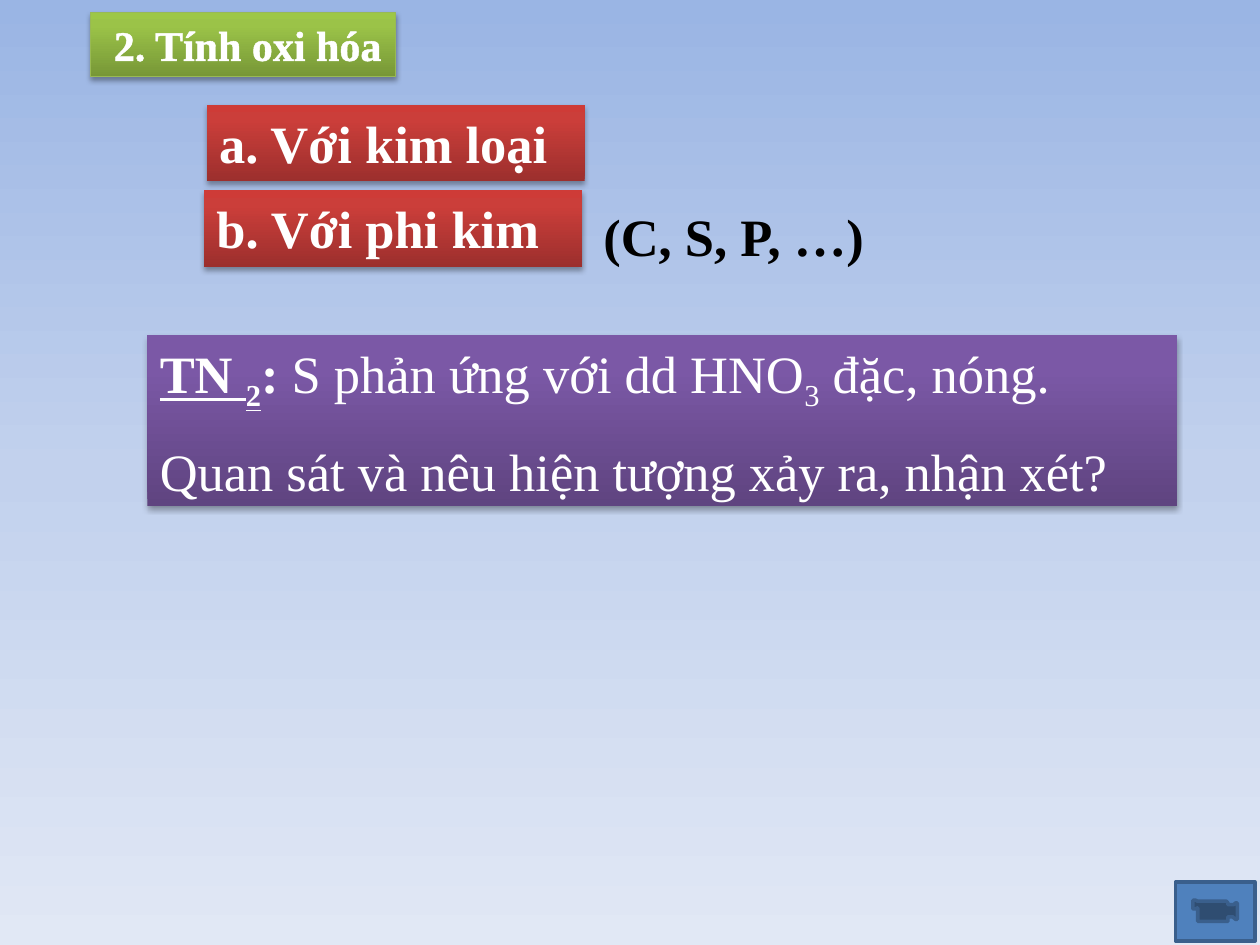
import copy
from dataclasses import dataclass
from typing import Optional

import pptx
import pptx.dml.color
import pptx.enum.shapes
import pptx.enum.text
import pptx.oxml
import pptx.oxml.ns
import pptx.util
from pptx.util import Inches

RGBColor = pptx.dml.color.RGBColor
Align = pptx.enum.text.PP_ALIGN
AutoSize = pptx.enum.text.MSO_AUTO_SIZE
Shapes = pptx.enum.shapes.MSO_SHAPE
qn = pptx.oxml.ns.qn

WHITE = RGBColor(0xFF, 0xFF, 0xFF)
BLACK = RGBColor(0x00, 0x00, 0x00)
GREEN_LINE = RGBColor(0x98, 0xB9, 0x55)
BUTTON_FILL = RGBColor(0x4F, 0x81, 0xBD)
BUTTON_LINE = RGBColor(0x3A, 0x5F, 0x8C)
SKY = (RGBColor(0x9A, 0xB5, 0xE4), RGBColor(0xC2, 0xD1, 0xED), RGBColor(0xE1, 0xE8, 0xF5))
GREEN = (RGBColor(0x77, 0x97, 0x37), RGBColor(0x9B, 0xC3, 0x48), RGBColor(0x9D, 0xC7, 0x46))
RED = (RGBColor(0x9C, 0x2F, 0x2D), RGBColor(0xCB, 0x3E, 0x3A), RGBColor(0xCE, 0x3B, 0x37))
PURPLE = (RGBColor(0x5F, 0x44, 0x80), RGBColor(0x7B, 0x58, 0xA6), RGBColor(0x7C, 0x57, 0xA8))

FONT = "Times New Roman"
DRAWING = "http://schemas.openxmlformats.org/drawingml/2006/main"


@dataclass(frozen=True)
class Run:
    text: str
    bold: bool = False
    underline: bool = False
    subscript: bool = False
    outlined: bool = False


@dataclass(frozen=True)
class Box:
    left: float
    top: float
    width: float
    height: float
    paragraphs: tuple[tuple[Run, ...], ...]
    gradient: Optional[tuple[RGBColor, ...]] = None
    color: RGBColor = WHITE
    size: int = 30
    align: Align = Align.JUSTIFY
    space_before: int = 50
    auto_size: AutoSize = AutoSize.SHAPE_TO_FIT_TEXT


HEADING = Box(0.72, 0.1, 2.42, 0.51,
              ((Run(" ", bold=True), Run("2. Tính oxi hóa", bold=True, outlined=True)),),
              GREEN, size=24, align=Align.LEFT, space_before=0, auto_size=AutoSize.NONE)

BOXES = (
    Box(1.64, 0.83, 3, 0.61, ((Run("a. Với kim loại", bold=True),),), RED),
    Box(1.62, 1.51, 3, 0.61, ((Run("b. Với phi kim", bold=True),),), RED),
    Box(4.69, 1.57, 3.25, 0.61, ((Run("(C, S, P, …)", bold=True),),), color=BLACK),
    Box(1.17, 2.66, 8.17, 1.36, (
        (
            Run("TN ", bold=True, underline=True),
            Run("2", bold=True, underline=True, subscript=True),
            Run(": ", bold=True),
            Run("S phản ứng với dd HNO"),
            Run("3", subscript=True),
            Run(" đặc, nóng."),
        ),
        (Run("Quan sát và nêu hiện tượng xảy ra, nhận xét?"),),
    ), PURPLE),
)


def set_gradient(fill, element, colors: tuple[RGBColor, ...], middle: float, angle: int) -> None:
    fill.gradient()
    fill.gradient_angle = angle
    stop_list = element.find(".//" + qn("a:gsLst"))
    stop_list.append(copy.deepcopy(stop_list[-1]))
    for stop, color, position in zip(fill.gradient_stops, colors, (0, middle, 1)):
        stop.color.rgb = color
        stop.position = position


def add_shadow(shape) -> None:
    shape.shadow.inherit = False
    effects = shape.element.spPr.find(qn("a:effectLst"))
    effects.append(pptx.oxml.parse_xml(
        f'<a:outerShdw xmlns:a="{DRAWING}" blurRad="{pptx.util.Pt(3.1)}" '
        f'dist="{pptx.util.Pt(1.8)}" dir="5400000" rotWithShape="0">'
        '<a:srgbClr val="000000"><a:alpha val="35000"/></a:srgbClr></a:outerShdw>'))


def add_run(paragraph, content: Run, box: Box) -> None:
    run = paragraph.add_run()
    run.text = content.text
    run.font.name = FONT
    run.font.size = pptx.util.Pt(box.size)
    run.font.bold = content.bold
    run.font.underline = content.underline
    run.font.color.rgb = box.color
    properties = run.font._element
    if content.subscript:
        properties.set("baseline", "-25000")
    if content.outlined:
        properties.insert(0, pptx.oxml.parse_xml(
            f'<a:ln xmlns:a="{DRAWING}" w="{pptx.util.Pt(1.45)}"><a:solidFill>'
            f'<a:srgbClr val="{box.color}"/></a:solidFill></a:ln>'))


def write_text(shape, box: Box) -> None:
    frame = shape.text_frame
    frame.word_wrap = True
    frame.vertical_anchor = pptx.enum.text.MSO_ANCHOR.TOP
    frame.auto_size = box.auto_size
    for index, runs in enumerate(box.paragraphs):
        paragraph = frame.add_paragraph() if index else frame.paragraphs[0]
        paragraph.alignment = box.align
        if box.space_before:
            spacing = pptx.oxml.parse_xml(
                f'<a:spcBef xmlns:a="{DRAWING}"><a:spcPct val="{box.space_before * 1000}"/></a:spcBef>')
            paragraph._p.get_or_add_pPr().append(spacing)
        for content in runs:
            add_run(paragraph, content, box)


def decorate(shape, box: Box) -> None:
    if box.gradient:
        set_gradient(shape.fill, shape.element.spPr, box.gradient, 0.8, 90)
        shape.line.fill.background()
        add_shadow(shape)
    write_text(shape, box)


def add_heading(slide, box: Box) -> None:
    title = slide.shapes.title
    title.left, title.top = Inches(box.left), Inches(box.top)
    title.width, title.height = Inches(box.width), Inches(box.height)
    decorate(title, box)
    title.line.color.rgb = GREEN_LINE
    title.line.width = pptx.util.Pt(0.75)


def add_box(slide, box: Box) -> None:
    bounds = [Inches(value) for value in (box.left, box.top, box.width, box.height)]
    if box.gradient:
        shape = slide.shapes.add_shape(Shapes.RECTANGLE, *bounds)
    else:
        shape = slide.shapes.add_textbox(*bounds)
    decorate(shape, box)


def add_movie_button(slide) -> None:
    button = slide.shapes.add_shape(
        Shapes.ACTION_BUTTON_MOVIE, Inches(9.33), Inches(7), Inches(0.63), Inches(0.47))
    button.fill.solid()
    button.fill.fore_color.rgb = BUTTON_FILL
    button.line.color.rgb = BUTTON_LINE
    button.line.width = pptx.util.Pt(2)
    button.shadow.inherit = False


def main() -> None:
    presentation = pptx.Presentation()
    presentation.slide_width = Inches(10)
    presentation.slide_height = Inches(7.5)
    slide = presentation.slides.add_slide(presentation.slide_layouts.get_by_name("Title Only"))
    set_gradient(slide.background.fill, slide.element, SKY, 0.5, 270)
    add_heading(slide, HEADING)
    for box in BOXES:
        add_box(slide, box)
    add_movie_button(slide)
    presentation.save("out.pptx")


if __name__ == "__main__":
    main()
